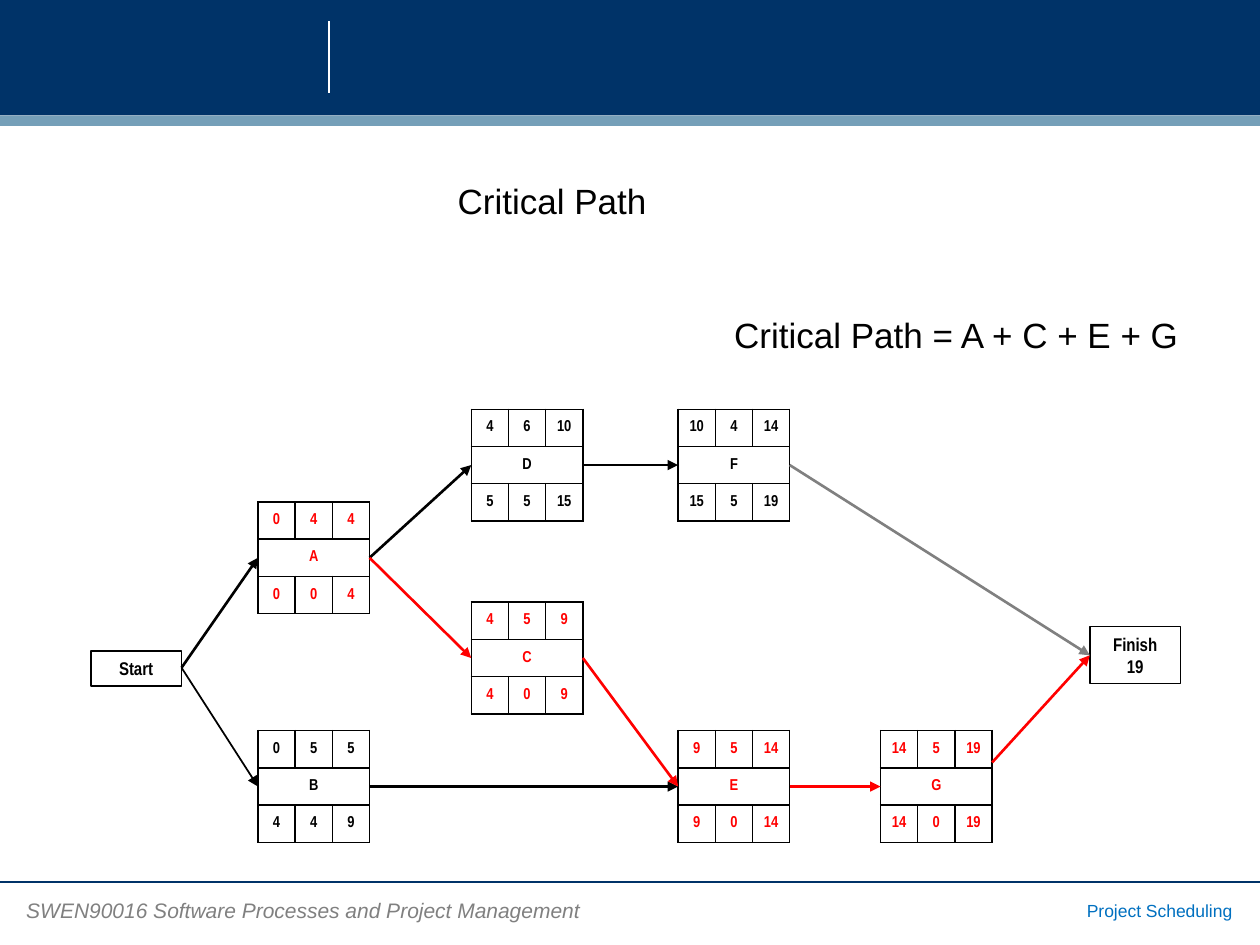
from lxml import etree
from pptx import Presentation
from pptx.dml.color import RGBColor
from pptx.enum.shapes import MSO_CONNECTOR, MSO_SHAPE
from pptx.enum.text import MSO_ANCHOR, PP_ALIGN
from pptx.oxml import parse_xml
from pptx.oxml.ns import nsdecls, qn
from pptx.util import Cm, Pt

RECT = MSO_SHAPE.RECTANGLE
LINE = MSO_CONNECTOR.STRAIGHT
MIDDLE = MSO_ANCHOR.MIDDLE
LEFT, CENTER, RIGHT = PP_ALIGN.LEFT, PP_ALIGN.CENTER, PP_ALIGN.RIGHT

NAVY = RGBColor(0x00, 0x33, 0x68)
STEEL = RGBColor(0x75, 0x9F, 0xB8)
BLUE = RGBColor(0x00, 0x70, 0xC0)
GREY = RGBColor(0x80, 0x80, 0x80)
BLACK = RGBColor(0x00, 0x00, 0x00)
RED = RGBColor(0xFF, 0x00, 0x00)
WHITE = RGBColor(0xFF, 0xFF, 0xFF)

# Lengths in centimetres
WIDE, HIGH = 25.4, 19.05
CELL = 0.75
SIDE = 3 * CELL
COLS = [5.2, 9.5, 13.67, 17.75]
TOP, UPPER, LOWER, BASE = 8.25, 10.12, 12.14, 14.73

# Name: left, top, colour, upper row, lower row
TASKS = {
    "A": (COLS[0], UPPER, RED, (0, 4, 4), (0, 0, 4)),
    "B": (COLS[0], BASE, BLACK, (0, 5, 5), (4, 4, 9)),
    "C": (COLS[1], LOWER, RED, (4, 5, 9), (4, 0, 9)),
    "D": (COLS[1], TOP, BLACK, (4, 6, 10), (5, 5, 15)),
    "E": (COLS[2], BASE, RED, (9, 5, 14), (9, 0, 14)),
    "F": (COLS[2], TOP, BLACK, (10, 4, 14), (15, 5, 19)),
    "G": (COLS[3], BASE, RED, (14, 5, 19), (14, 0, 19)),
}
START = (3.66, 13.46)
FINISH = (21.97, 13.21)


def style(frame, size, color, font="Arial", align=LEFT, bold=False, italic=False):
    for para in frame.paragraphs:
        para.alignment = align
        for run in para.runs:
            run.font.name = font
            run.font.size = Pt(size)
            run.font.bold = bold
            run.font.italic = italic
            run.font.color.rgb = color


def add_bar(slide, top, height, color):
    bar = slide.shapes.add_shape(RECT, 0, Cm(top), Cm(WIDE), Cm(height))
    bar.shadow.inherit = False
    bar.fill.solid()
    bar.fill.fore_color.rgb = color
    bar.line.fill.background()


def add_line(slide, start, end, color, width, arrow=False):
    line = slide.shapes.add_connector(LINE, *map(Cm, start + end))
    line.line.color.rgb = color
    line.line.width = Pt(width)
    if arrow:
        etree.SubElement(line.line._get_or_add_ln(), qn("a:tailEnd"), type="triangle")
    etree.SubElement(line._element.spPr, qn("a:effectLst"))


def add_text(slide, box, text, size, color, wrap=True, **look):
    frame = slide.shapes.add_textbox(*map(Cm, box)).text_frame
    frame.word_wrap = wrap
    frame.text = text
    style(frame, size, color, **look)


def add_box(slide, box, text):
    shape = slide.shapes.add_shape(RECT, *map(Cm, box))
    shape.shadow.inherit = False
    shape.fill.background()
    shape.line.color.rgb = BLACK
    shape.line.width = Pt(1)
    frame = shape.text_frame
    frame.text = text
    frame.vertical_anchor = MIDDLE
    style(frame, 10.5, BLACK, "Arial Narrow", CENTER, bold=True)


def format_cell(cell, color):
    cell.margin_left = cell.margin_right = Cm(0.18)
    cell.margin_top = cell.margin_bottom = Cm(0.1)
    cell.vertical_anchor = MIDDLE
    props = cell._tc.get_or_add_tcPr()
    for side in "LRTB":
        props.append(parse_xml(
            f'<a:ln{side} {nsdecls("a")} w="12700"><a:solidFill>'
            f'<a:srgbClr val="{BLACK}"/></a:solidFill></a:ln{side}>'))
    cell.fill.background()
    style(cell.text_frame, 9, color, "Arial Narrow", CENTER, bold=True)


def add_task(slide, name, left, top, color, early, late):
    frame = slide.shapes.add_table(3, 3, Cm(left), Cm(top), Cm(SIDE), Cm(SIDE))
    table = frame.table
    table.first_row = table.horz_banding = False
    for part in table.columns:
        part.width = Cm(CELL)
    for part in table.rows:
        part.height = Cm(CELL)
    table.cell(1, 0).merge(table.cell(1, 2))
    for row, texts in enumerate([early, [name], late]):
        for col, text in enumerate(texts):
            table.cell(row, col).text = str(text)
    for cell in table.iter_cells():
        format_cell(cell, color)


def entry(name):
    left, top = TASKS[name][:2]
    return left, top + SIDE / 2


def leave(name, drop=SIDE / 2):
    left, top = TASKS[name][:2]
    return left + SIDE, top + drop


def add_title(slide, text):
    title = slide.shapes.title
    title.left, title.top, title.width, title.height = map(Cm, (8.97, 3.48, 4.34, 1.12))
    frame = title.text_frame
    frame.text = text
    frame.word_wrap = False
    frame.vertical_anchor = MIDDLE
    style(frame, 20, BLACK)


def main():
    deck = Presentation()
    deck.slide_width, deck.slide_height = Cm(WIDE), Cm(HIGH)
    slide = deck.slides.add_slide(deck.slide_layouts[5])

    # Header and footer
    add_bar(slide, 0, 2.33, NAVY)
    add_bar(slide, 2.33, 0.21, STEEL)
    add_line(slide, (6.63, 0.43), (6.63, 1.88), WHITE, 0.75)
    add_line(slide, (0, 17.78), (WIDE, 17.78), NAVY, 0.75)
    add_text(slide, (0.28, 17.96, 11.76, 0.76),
             "SWEN90016 Software Processes and Project Management",
             12, GREY, italic=True)
    add_text(slide, (19.86, 18.01, 5.23, 0.69), "Project Scheduling",
             10, BLUE, align=RIGHT)

    # Headings
    add_title(slide, "Critical Path")
    add_text(slide, (14.55, 6.2, 9.6, 1.12), "Critical Path = A + C + E + G",
             20, BLACK, wrap=False)

    # Network nodes
    for name, task in TASKS.items():
        add_task(slide, name, *task)
    add_box(slide, (1.83, 13.12, 1.83, 0.71), "Start")
    add_box(slide, (21.97, 12.63, 1.83, 1.15), "Finish\n19")

    # Network links
    links = [
        (START, entry("A"), BLACK, 1.5),
        (START, entry("B"), BLACK, 1),
        (leave("A"), entry("D"), BLACK, 1.5),
        (leave("A"), entry("C"), RED, 1.5),
        (leave("B"), entry("E"), BLACK, 1.5),
        (leave("D"), entry("F"), BLACK, 1.5),
        (leave("C"), entry("E"), RED, 1.5),
        (leave("E"), entry("G"), RED, 1.5),
        (leave("G", 0.64), FINISH, RED, 1.5),
        (leave("F"), FINISH, GREY, 1.5),
    ]
    for link in links:
        add_line(slide, *link, arrow=True)

    deck.save("out.pptx")


if __name__ == "__main__":
    main()
